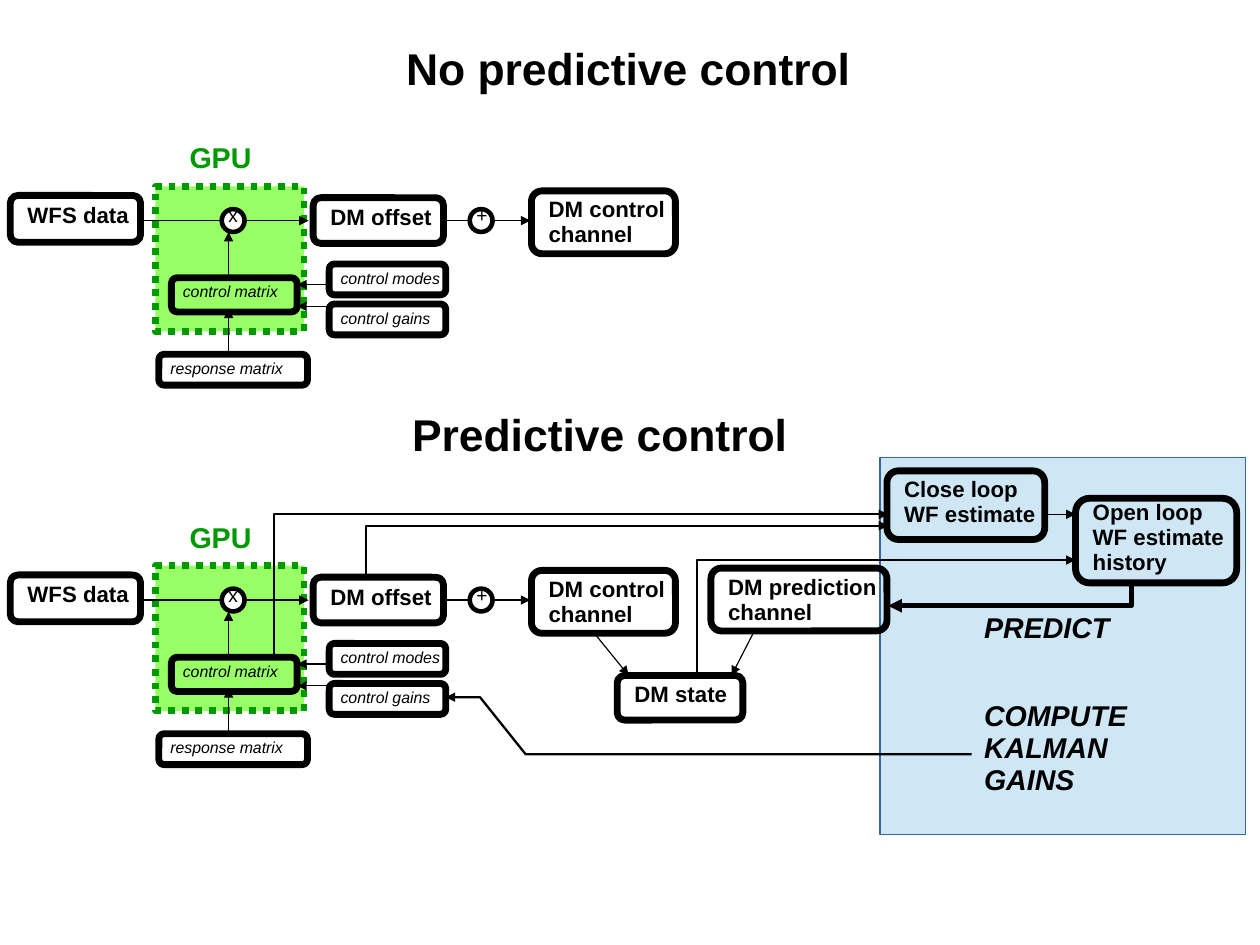
from dataclasses import dataclass
from typing import Any

from lxml.etree import SubElement
from pptx import Presentation
from pptx.dml.color import RGBColor
from pptx.enum.dml import MSO_LINE
from pptx.enum.shapes import MSO_CONNECTOR, MSO_SHAPE
from pptx.enum.text import MSO_ANCHOR, PP_ALIGN
from pptx.oxml.ns import qn
from pptx.util import Inches, Pt

BLACK = RGBColor(0x00, 0x00, 0x00)
WHITE = RGBColor(0xFF, 0xFF, 0xFF)
GREEN = RGBColor(0x00, 0x99, 0x00)
LIME = RGBColor(0x99, 0xFF, 0x66)
SKY = RGBColor(0xCF, 0xE7, 0xF5)
BLUE = RGBColor(0x34, 0x65, 0xA4)
CM_PER_INCH = 2.54
CORNER = 0.167
CORNER_INSET = 0.29 * CORNER
THIN, MEDIUM, HEAVY, FRAME = 0.75, 1.45, 2.89, 4.31


def write(frame, text, size, color=BLACK, bold=False, italic=False,
          align=PP_ALIGN.LEFT, margins=(0.1, 0.05, 0.1, 0.05)):
    frame.margin_left, frame.margin_top, frame.margin_right, frame.margin_bottom = map(Inches, margins)
    frame.text = text
    for paragraph in frame.paragraphs:
        paragraph.alignment = align
        paragraph.line_spacing = 0.94
        font = paragraph.font
        font.name, font.size = "Arial", Pt(size)
        font.bold, font.italic = bold, italic
        font.color.rgb = color


def add_arrowhead(shape):
    line = shape.element.spPr.find(qn("a:ln"))
    SubElement(line, qn("a:tailEnd"), type="triangle")


@dataclass
class Region:
    slide: Any
    left: float
    top: float

    def place(self, x, y):
        return Inches(self.left + x), Inches(self.top + y)

    def shape(self, kind, x, y, width, height, fill, color, weight):
        shape = self.slide.shapes.add_shape(kind, *self.place(x, y), Inches(width), Inches(height))
        shape.shadow.inherit = False
        if fill is None:
            shape.fill.background()
        else:
            shape.fill.solid()
            shape.fill.fore_color.rgb = fill
        shape.line.color.rgb = color
        shape.line.width = Pt(weight)
        return shape

    def block(self, text, x, y, width, height, size, text_left, text_top, **style):
        block = self.shape(MSO_SHAPE.ROUNDED_RECTANGLE, x, y, width, height, None, BLACK, FRAME)
        block.adjustments[0] = CORNER
        frame = block.text_frame
        frame.word_wrap = True
        frame.vertical_anchor = MSO_ANCHOR.TOP
        inset = CORNER_INSET * height
        write(frame, text, size, margins=(text_left - inset, text_top - inset, 0, 0), **style)

    def stage(self, text, x, y, width, height, text_top=0.07):
        self.block(text, x, y, width, height, 14, 0.15, text_top, bold=True)

    def matrix(self, text, x, y, width, height=0.27):
        self.block(text, x, y, width, height, 10, 0.1, 0.05, italic=True)

    def label(self, text, x, y, width, height, size, **style):
        label = self.slide.shapes.add_textbox(*self.place(x, y), Inches(width), Inches(height))
        label.text_frame.word_wrap = True
        write(label.text_frame, text, size, **style)
        return label

    def operator(self, sign, x, y):
        self.shape(MSO_SHAPE.OVAL, x, y, 0.2, 0.2, WHITE, BLACK, HEAVY)
        self.label(sign, x - 0.04, y - 0.08, 0.28, 0.3, 12)

    def arrow(self, start, end):
        arrow = self.slide.shapes.add_connector(
            MSO_CONNECTOR.STRAIGHT, *self.place(*start), *self.place(*end))
        arrow.line.color.rgb = BLACK
        arrow.line.width = Pt(THIN)
        add_arrowhead(arrow)
        SubElement(arrow.element.spPr, qn("a:effectLst"))

    def route(self, points, weight=MEDIUM):
        start, *rest = [self.place(*point) for point in points]
        builder = self.slide.shapes.build_freeform(*start)
        builder.add_line_segments(rest, close=False)
        route = builder.convert_to_shape()
        route.shadow.inherit = False
        route.fill.background()
        route.line.color.rgb = BLACK
        route.line.width = Pt(weight)
        add_arrowhead(route)


def add_heading(slide, text, left, top):
    heading = Region(slide, left, top).label(
        text, 0, 0, 9.89, 0.57, 28, bold=True, align=PP_ALIGN.CENTER, margins=(0, 0, 0, 0))
    heading.text_frame.vertical_anchor = MSO_ANCHOR.MIDDLE


def add_control_loop(slide, left, top):
    loop = Region(slide, left, top)
    gpu = loop.shape(MSO_SHAPE.RECTANGLE, 1.36, 0.43, 1.3, 1.27, LIME, GREEN, FRAME)
    gpu.line.dash_style = MSO_LINE.ROUND_DOT
    loop.label("GPU", 1.56, 0, 0.75, 0.43, 18, color=GREEN, bold=True)

    for start, end in (
        ((1.23, 0.73), (2.7, 0.73)),
        ((3.9, 0.73), (4.64, 0.73)),
        ((2, 1.23), (2, 0.83)),
        ((2, 1.9), (2, 1.5)),
        ((2.88, 1.29), (2.6, 1.29)),
        ((2.88, 1.48), (2.6, 1.48)),
    ):
        loop.arrow(start, end)

    loop.operator("x", 1.94, 0.63)
    loop.operator("+", 4.11, 0.63)
    loop.stage("WFS data", 0.09, 0.51, 1.14, 0.41)
    loop.stage("DM offset", 2.74, 0.53, 1.14, 0.4)
    loop.stage("DM control\nchannel", 4.65, 0.47, 1.26, 0.55, text_top=0.06)
    loop.matrix("control matrix", 1.5, 1.23, 1.1, 0.3)
    loop.matrix("response matrix", 1.39, 1.9, 1.3)
    loop.matrix("control modes", 2.88, 1.11, 1.02)
    loop.matrix("control gains", 2.88, 1.46, 1.02)


def add_prediction(slide, left, top):
    prediction = Region(slide, left, top)
    prediction.shape(MSO_SHAPE.RECTANGLE, 5.3, 0, 3.2, 3.3, SKY, BLUE, THIN)

    prediction.stage("Close loop\nWF estimate", 5.36, 0.12, 1.38, 0.6, text_top=0.06)
    prediction.stage("Open loop\nWF estimate\nhistory", 7.01, 0.36, 1.41, 0.74, text_top=0.02)
    prediction.stage("DM prediction\nchannel", 3.82, 0.97, 1.54, 0.55, text_top=0.06)
    prediction.stage("DM state", 3, 1.91, 1.1, 0.39, text_top=0.06)

    prediction.arrow((2.8, 1.54), (3.1, 1.91))
    prediction.arrow((4.2, 1.52), (4, 1.91))
    prediction.arrow((6.74, 0.5), (7.01, 0.5))

    prediction.route([(0.8, 1.03), (0.8, 0.6), (5.37, 0.6)])
    prediction.route([(0, 1.75), (0, 0.5), (5.37, 0.5)])
    prediction.route([(3.7, 1.91), (3.7, 0.9), (7.01, 0.9)])
    prediction.route([(7.5, 1.1), (7.5, 1.3), (5.37, 1.3)], HEAVY)
    prediction.route([(6.1, 2.6), (2.2, 2.6), (1.8, 2.1), (1.5, 2.1)])

    action = dict(size=18, bold=True, italic=True, margins=(0.11, 0.06, 0, 0.06))
    prediction.label("PREDICT", 6.1, 1.3, 1.31, 0.42, **action)
    prediction.label("COMPUTE KALMAN GAINS", 6.1, 2.07, 1.9, 0.98, **action)


def main():
    presentation = Presentation()
    presentation.slide_width = Inches(28 / CM_PER_INCH)
    presentation.slide_height = Inches(21 / CM_PER_INCH)
    slide = presentation.slides.add_slide(presentation.slide_layouts[6])

    add_heading(slide, "No predictive control", 0.55, 0.33)
    add_control_loop(slide, 0, 1.2)
    add_heading(slide, "Predictive control", 0.3, 3.53)
    add_control_loop(slide, 0, 4.52)
    add_prediction(slide, 2.4, 4)

    presentation.save("out.pptx")


if __name__ == "__main__":
    main()
